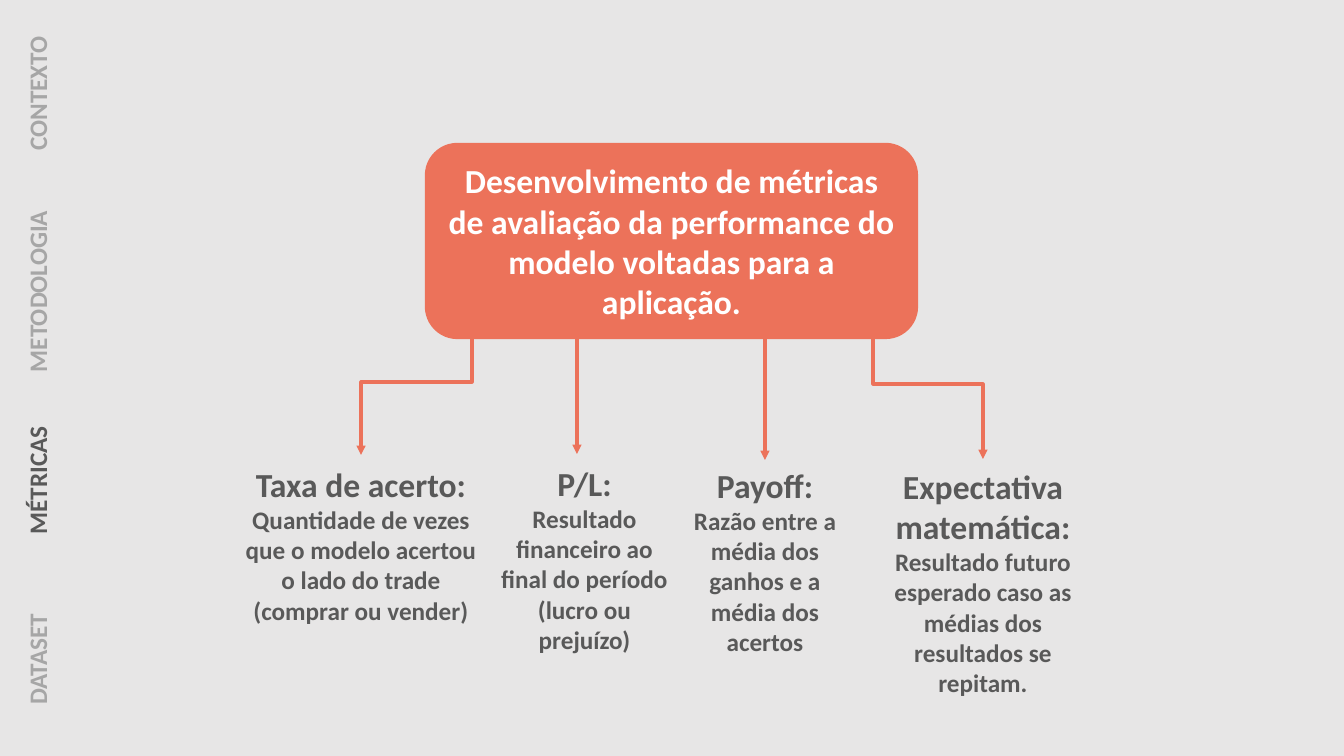
"""Build the metrics slide: side navigation, goal box and four metric branches."""
from typing import NamedTuple

from lxml.etree import SubElement
from pptx import Presentation
from pptx.dml.color import RGBColor
from pptx.enum.shapes import MSO_CONNECTOR as Link, MSO_SHAPE as Shape
from pptx.enum.text import MSO_ANCHOR as Anchor, MSO_AUTO_SIZE as AutoSize, PP_ALIGN as Align
from pptx.oxml.ns import qn
from pptx.util import Emu, Pt

SCALE = 914400 / 100.8
FONT = "Calibri"
NAV_CENTER, NAV_HEIGHT = 37, 40
COLORS = {"background": "E7E6E6", "accent": "EC725A", "text": "595959",
          "muted": "A6A6A6", "white": "FFFFFF"}


class Section(NamedTuple):
    """A navigation label, its vertical center and its length."""
    label: str
    center: int
    length: int
    color: str = "muted"


class Metric(NamedTuple):
    """A metric column and the arrow leading to it."""
    title: str
    detail: str
    left: int
    top: int
    width: int
    height: int
    start: tuple[int, int]
    end: tuple[int, int]


SECTIONS = [
    Section("CONTEXTO", 89, 143),
    Section("METODOLOGIA", 287, 190),
    Section("MÉTRICAS", 479, 131, "text"),
    Section("DATASET", 657, 115),
]
METRICS = [
    Metric("Taxa de acerto:",
           "Quantidade de vezes que o modelo acertou o lado do trade (comprar ou vender)",
           235, 459, 252, 173, (472, 309), (361, 455)),
    Metric("Expectativa matemática:",
           "Resultado futuro esperado caso as médias dos resultados se repitam.",
           857, 461, 252, 254, (873, 309), (983, 459)),
    Metric("P/L:", "Resultado financeiro ao final do período (lucro ou prejuízo)",
           487, 458, 195, 204, (577, 308), (577, 454)),
    Metric("Payoff:", "Razão entre a média dos ganhos e a média dos acertos",
           668, 460, 194, 204, (765, 307), (765, 460)),
]
GOAL = "Desenvolvimento de métricas de avaliação da performance do modelo voltadas para a aplicação."


def px(length: float) -> Emu:
    """Turn pixels into EMU."""
    return Emu(round(length * SCALE))


def rgb(name: str) -> RGBColor:
    """Look up a named color."""
    return RGBColor.from_string(COLORS[name])


def write(paragraph, text: str, *, size: int = 18, color: str = "text", align=Align.CENTER) -> None:
    """Add bold text to a paragraph."""
    paragraph.alignment = align
    run = paragraph.add_run()
    run.text = text
    run.font.name, run.font.size, run.font.bold = FONT, Pt(size), True
    run.font.color.rgb = rgb(color)


def add_frame(shapes, left: float, top: float, width: int, height: int, wrap: bool = True):
    """Add a text box that grows with its text."""
    box = shapes.add_textbox(px(left), px(top), px(width), px(height))
    box.text_frame.word_wrap = wrap
    box.text_frame.auto_size = AutoSize.SHAPE_TO_FIT_TEXT
    return box


def draw_section(shapes, section: Section) -> None:
    """Draw an upright navigation label."""
    box = add_frame(shapes, NAV_CENTER - section.length / 2, section.center - NAV_HEIGHT / 2,
                    section.length, NAV_HEIGHT, wrap=False)
    box.rotation = 270
    write(box.text_frame.paragraphs[0], section.label, color=section.color, align=Align.LEFT)


def draw_arrow(shapes, start: tuple[int, int], end: tuple[int, int]) -> None:
    """Draw a downward arrow, bent halfway when its ends are not aligned."""
    (x1, y1), (x2, y2) = start, end
    if x1 == x2:
        arrow = shapes.add_connector(Link.STRAIGHT, px(x1), px(y1), px(x2), px(y2))
    else:
        side = 1 if x2 > x1 else -1
        mid_x, mid_y = (x1 + x2) / 2, (y1 + y2) / 2
        reach, rise = side * (y2 - y1) / 2, abs(x2 - x1) / 2
        arrow = shapes.add_connector(Link.ELBOW, px(mid_x + reach), px(mid_y - rise),
                                     px(mid_x - reach), px(mid_y + rise))
        turn = 270 if side > 0 else 90
        arrow._element.spPr.find(qn("a:xfrm")).set("rot", str(turn * 60000))
    arrow.line.color.rgb = rgb("accent")
    arrow.line.width = Pt(2.25)
    properties = arrow._element.spPr
    SubElement(properties.find(qn("a:ln")), qn("a:tailEnd"), type="triangle")
    SubElement(properties, qn("a:effectLst"))


def draw_metric(shapes, metric: Metric) -> None:
    """Draw a metric's title and explanation under its arrow."""
    draw_arrow(shapes, metric.start, metric.end)
    frame = add_frame(shapes, metric.left, metric.top, metric.width, metric.height).text_frame
    write(frame.paragraphs[0], metric.title, size=24)
    write(frame.add_paragraph(), metric.detail)


def draw_goal(shapes) -> None:
    """Draw the rounded box that states the goal."""
    goal = shapes.add_shape(Shape.ROUNDED_RECTANGLE, px(428), px(146), px(487), px(190))
    goal.adjustments[0] = 0.155
    goal.shadow.inherit = False
    goal.fill.solid()
    goal.fill.fore_color.rgb = rgb("accent")
    goal.line.color.rgb = rgb("accent")
    goal.line.width = Pt(4.5)
    goal.text_frame.word_wrap = True
    goal.text_frame.vertical_anchor = Anchor.MIDDLE
    write(goal.text_frame.paragraphs[0], GOAL, size=24, color="white")


def main() -> None:
    """Assemble and save the slide."""
    deck = Presentation()
    deck.slide_width, deck.slide_height = px(1344), px(756)
    slide = deck.slides.add_slide(deck.slide_layouts[6])
    slide.background.fill.solid()
    slide.background.fill.fore_color.rgb = rgb("background")
    for section in SECTIONS:
        draw_section(slide.shapes, section)
    for metric in METRICS:
        draw_metric(slide.shapes, metric)
    draw_goal(slide.shapes)
    deck.save("out.pptx")


main()
